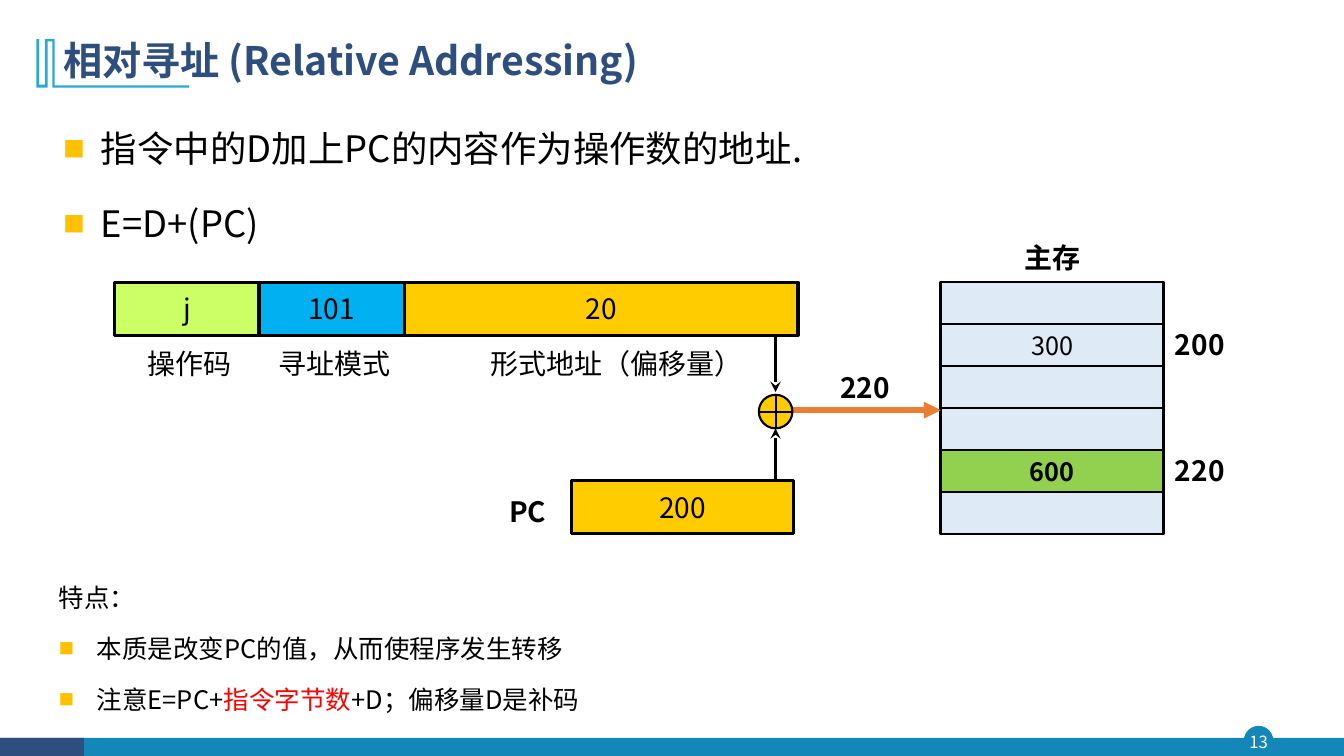
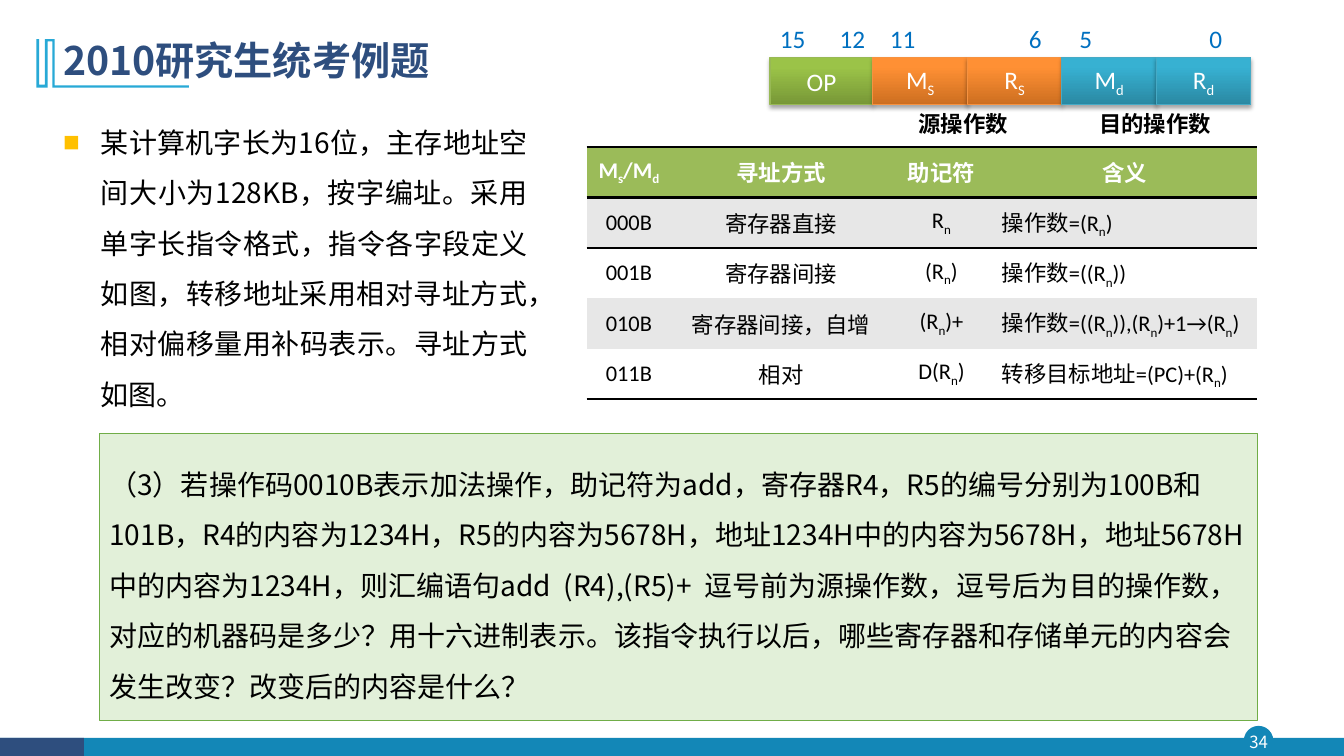
from typing import NamedTuple

from lxml.etree import SubElement
from pptx import Presentation
from pptx.dml.color import RGBColor
from pptx.enum.shapes import MSO_CONNECTOR as Connector, MSO_SHAPE as Preset
from pptx.enum.text import MSO_ANCHOR as Anchor, PP_ALIGN as Align
from pptx.oxml.ns import qn
from pptx.util import Pt

BLACK = RGBColor(0x00, 0x00, 0x00)
WHITE = RGBColor(0xFF, 0xFF, 0xFF)
RED = RGBColor(0xFF, 0x00, 0x00)
NAVY = RGBColor(0x2E, 0x4E, 0x7E)
TEAL = RGBColor(0x13, 0x87, 0xB7)
CYAN = RGBColor(0x28, 0xA9, 0xD6)
GOLD = RGBColor(0xFF, 0xC0, 0x00)
YELLOW = RGBColor(0xFF, 0xCC, 0x00)
LIME = RGBColor(0xCC, 0xFF, 0x66)
SKY = RGBColor(0x00, 0xB0, 0xF0)
ICE = RGBColor(0xDE, 0xEB, 0xF7)
GREEN = RGBColor(0x92, 0xD0, 0x50)
ORANGE = RGBColor(0xED, 0x7D, 0x31)
MINT = RGBColor(0xE2, 0xF0, 0xD9)
LEAF = RGBColor(0x70, 0xAD, 0x47)
OLIVE = RGBColor(0x9B, 0xBB, 0x59)
GREY = RGBColor(0xE7, 0xE7, 0xE7)
BLUE = RGBColor(0x00, 0x70, 0xC0)
# Dark end, light end and outline of each kind of instruction field
OP_TONES = (RGBColor(0x77, 0x97, 0x37), RGBColor(0x9B, 0xC3, 0x48), RGBColor(0x98, 0xB9, 0x55))
SOURCE_TONES = (RGBColor(0xCC, 0x6E, 0x20), RGBColor(0xFF, 0x90, 0x34), RGBColor(0xF6, 0x92, 0x40))
TARGET_TONES = (RGBColor(0x2A, 0x88, 0xA2), RGBColor(0x37, 0xB1, 0xD2), RGBColor(0x46, 0xAA, 0xC5))

SANS = "Noto Sans CJK SC"
TITLE_FONT = "Noto Sans CJK JP"
LATIN = "Calibri"
NO_TABLE_STYLE = "{2D5ABB26-0587-4C30-8999-92F81FD0307C}"

PLAIN = {"size": 20, "name": SANS, "color": BLACK}
STRONG = {**PLAIN, "bold": True}
TITLE = {"size": 28, "name": SANS, "color": NAVY, "bold": True}
FIELD = {"size": 18, "name": LATIN, "color": WHITE}
CELL = {"size": 16, "name": LATIN, "color": BLACK}


class Box(NamedTuple):
    """A rectangle in points."""
    left: float
    top: float
    width: float
    height: float

    def inner(self, dx, dy, width, height):
        return Box(self.left + dx, self.top + dy, width, height)

    def lengths(self):
        return [Pt(value) for value in self]


def add_span(para, text, style, subscript=False):
    span = para.add_run()
    span.text = text
    values = {**style, "size": Pt(style["size"])}
    span.font.color.rgb = values.pop("color")
    for name, value in values.items():
        setattr(span.font, name, value)
    props = span._r.get_or_add_rPr()
    SubElement(props, qn("a:ea")).set("typeface", SANS if style["name"] == LATIN else style["name"])
    if subscript:
        props.set("baseline", "-25000")


def add_marked(para, text, style):
    """Write text in which an underscore lowers the next character."""
    first, *pieces = text.split("_")
    if first:
        add_span(para, first, style)
    for piece in pieces:
        add_span(para, piece[0], style, subscript=True)
        if piece[1:]:
            add_span(para, piece[1:], style)


def add_bullet(para):
    props = para._p.get_or_add_pPr()
    props.set("marL", str(Pt(27)))
    props.set("indent", str(-Pt(27)))
    SubElement(SubElement(props, qn("a:buClr")), qn("a:srgbClr")).set("val", str(GOLD))
    SubElement(props, qn("a:buSzPct")).set("val", "60000")
    SubElement(props, qn("a:buFont")).set("typeface", SANS)
    SubElement(props, qn("a:buChar")).set("char", "■")


def write(frame, paras, style, anchor=Anchor.TOP, wrap=True, inset=None, bullets=(),
          tab=None, **layout):
    """Fill a frame; a paragraph is a string or a list of (text, style changes)."""
    frame.word_wrap = wrap
    frame.vertical_anchor = anchor
    if inset is not None:
        for side in ("left", "right", "top", "bottom"):
            setattr(frame, f"margin_{side}", Pt(inset))
    for index, content in enumerate(paras):
        para = frame.add_paragraph() if index else frame.paragraphs[0]
        if index in bullets:
            add_bullet(para)
        if tab:
            stops = SubElement(para._p.get_or_add_pPr(), qn("a:tabLst"))
            stop = SubElement(stops, qn("a:tab"))
            stop.set("pos", str(Pt(tab)))
            stop.set("algn", "r")
        for name, value in layout.items():
            if index or name != "space_before":
                setattr(para, name, value)
        for text, changes in [(content, {})] if isinstance(content, str) else content:
            add_marked(para, text, {**style, **changes})


def add_text(page, box, paras, style, **options):
    write(page.shapes.add_textbox(*box.lengths()).text_frame, paras, style, **options)


def add_label(page, box, text, style=PLAIN):
    add_text(page, box, [text], style, wrap=False, alignment=Align.CENTER)


def outline(shape, color, weight):
    shape.shadow.inherit = False
    if color is None:
        shape.line.fill.background()
    else:
        shape.line.color.rgb = color
        shape.line.width = Pt(weight)


def add_block(page, box, fill, line=None, weight=1, text="", style=PLAIN, preset=Preset.RECTANGLE):
    block = page.shapes.add_shape(preset, *box.lengths())
    outline(block, line, weight)
    block.fill.solid()
    block.fill.fore_color.rgb = fill
    if text:
        write(block.text_frame, [text], style, Anchor.MIDDLE, wrap=False, alignment=Align.CENTER)
    return block


def add_arrow(page, start, end, color, weight, head):
    arrow = page.shapes.add_connector(Connector.STRAIGHT, *(Pt(v) for v in (*start, *end)))
    arrow.line.color.rgb = color
    arrow.line.width = Pt(weight)
    SubElement(arrow.line._get_or_add_ln(), qn("a:tailEnd")).set("type", head)
    SubElement(arrow._element.spPr, qn("a:effectLst"))


def add_footer(page, box, number):
    badge = box.inner(889, -8, 20, 20)
    add_block(page, badge, TEAL, TEAL, preset=Preset.OVAL)
    add_block(page, box, TEAL)
    add_block(page, box.inner(0, 0, 60, box.height), NAVY)
    add_text(page, badge.inner(-2, 0, 24, 22), [number], {"size": 12, "name": SANS, "color": WHITE},
             anchor=Anchor.MIDDLE, inset=0, alignment=Align.CENTER)


def add_heading(page, box, title):
    """Place the bracket ornament and the slide title."""
    corners = [(13, 0), (13, 33), (109, 33), (109, 34.5), (11.5, 34.5), (11.5, 1.5), (8, 1.5),
               (8, 34.5), (0, 34.5), (0, 0), (2, 0), (2, 32.5), (6, 32.5), (6, 0)]
    start, *others = [(Pt(box.left + x), Pt(box.top + 8 + y)) for x, y in corners]
    builder = page.shapes.build_freeform(*start)
    builder.add_line_segments(others, close=True)
    bracket = builder.convert_to_shape()
    outline(bracket, None, 0)
    bracket.fill.solid()
    bracket.fill.fore_color.rgb = CYAN
    add_text(page, box.inner(12, 0, box.width - 12, box.height), [title], TITLE,
             anchor=Anchor.MIDDLE, line_spacing=0.9)


def add_page(deck, number, title):
    page = deck.slides.add_slide(deck.slide_layouts[6])
    add_footer(page, Box(0, 527, 960, 13), number)
    add_heading(page, Box(26, 20, 840, 49), title)
    return page


def add_instruction(page, box):
    fields = [("j", LIME, 103, "操作码", 0), ("101", SKY, 104, "寻址模式", 0),
              ("20", YELLOW, box.width - 207, "形式地址（偏移量）", 9)]
    dx = 0
    for value, fill, width, caption, shift in fields:
        add_block(page, box.inner(dx, 0, width, box.height), fill, BLACK, 2.25, value)
        add_label(page, box.inner(dx + shift + 2, 42.5, width, 32), caption)
        dx += width


def add_memory(page, box):
    add_label(page, box.inner(0, -33, box.width, 32), "主存", STRONG)
    cells = [("", ICE, ""), ("300", ICE, "200"), ("", ICE, ""),
             ("", ICE, ""), ("600", GREEN, "220"), ("", ICE, "")]
    pitch = box.height / len(cells)
    for row, (value, fill, address) in enumerate(cells):
        style = {**PLAIN, "size": 18, "bold": fill == GREEN}
        add_block(page, box.inner(0, row * pitch, box.width, pitch), fill, BLACK, 2, value, style)
        if address:
            add_label(page, box.inner(box.width, row * pitch - 1, 52, 32), address, STRONG)


def add_address_sum(page, box):
    """Draw the PC register and the adder, with the arrows between them and memory."""
    register = box.inner(49, 104, 159, 38)
    add_block(page, register, YELLOW, BLACK, 2.25, "200")
    add_label(page, box.inner(-4, 111, 44, 32), "PC", STRONG)
    adder = box.inner(183, 43, 24, 24)
    middle = adder.left + adder.width / 2
    bottom = adder.top + adder.height
    exit_y = box.top + 54
    add_arrow(page, (adder.left + adder.width, exit_y), (box.left + box.width, exit_y),
              ORANGE, 4, "triangle")
    add_label(page, box.inner(233, 22, 52, 32), "220", STRONG)
    add_block(page, adder, YELLOW, BLACK, 1.5, preset=Preset.FLOWCHART_OR)
    add_arrow(page, (middle, register.top), (middle, bottom), BLACK, 2.5, "stealth")
    add_arrow(page, (middle, box.top), (middle, adder.top - 2), BLACK, 2.5, "stealth")


def add_field(page, box, text, tones):
    """Draw one shaded field of the instruction word."""
    dark, light, edge = tones
    field = page.shapes.add_shape(Preset.RECTANGLE, *box.lengths())
    outline(field, edge, 0.75)
    field.fill.gradient()
    field.fill.gradient_angle = 90
    for stop, color, position in zip(field.fill.gradient_stops, (dark, light), (0, 0.8)):
        stop.color.rgb = color
        stop.position = position
    effects = field._element.spPr.find(qn("a:effectLst"))
    shadow = SubElement(effects, qn("a:outerShdw"), blurRad=str(Pt(3.1)), dist=str(Pt(1.8)),
                        dir="5400000", rotWithShape="0")
    tint = SubElement(shadow, qn("a:srgbClr"), val=str(BLACK))
    SubElement(tint, qn("a:alpha"), val="35000")
    write(field.text_frame, [text], FIELD, Anchor.MIDDLE, alignment=Align.CENTER)


def add_word_format(page, box):
    fields = [("OP", OP_TONES), ("M_S", SOURCE_TONES), ("R_S", SOURCE_TONES),
              ("M_d", TARGET_TONES), ("R_d", TARGET_TONES)]
    first = 73.5
    width = (box.width - first) / 4
    for index, (text, tones) in enumerate(fields):
        dx = first + (index - 1) * width if index else 0
        add_field(page, box.inner(dx, 28, width if index else first, 34), text, tones)
    for dx, bits, tab in [(0, "15\t12", 61), (78.5, "11\t6", 108.5), (214, "5\t0", 102)]:
        add_text(page, box.inner(dx, 0, 130, 29), [bits], {**FIELD, "color": BLUE}, tab=tab)
    for dx, caption in [(99, "源操作数"), (228, "目的操作数")]:
        add_text(page, box.inner(dx, 62, 107, 27), [caption], {**STRONG, "size": 16})


def add_rule(cell, side):
    line = SubElement(cell._tc.get_or_add_tcPr(), qn(f"a:ln{side}"), w=str(Pt(2)))
    SubElement(SubElement(line, qn("a:solidFill")), qn("a:srgbClr")).set("val", str(BLACK))


def add_mode_table(page, box):
    rows = [("M_s/M_d", "寻址方式", "助记符", "含义"),
            ("000B", "寄存器直接", "R_n", "操作数=(R_n)"),
            ("001B", "寄存器间接", "(R_n)", "操作数=((R_n))"),
            ("010B", "寄存器间接，自增", "(R_n)+", "操作数=((R_n)),(R_n)+1→(R_n)"),
            ("011B", "相对", "D(R_n)", "转移目标地址=(PC)+(R_n)")]
    table = page.shapes.add_table(len(rows), len(rows[0]), *box.lengths()).table
    table._tbl.tblPr.find(qn("a:tableStyleId")).text = NO_TABLE_STYLE
    for column, width in zip(table.columns, (60.5, 157, 72, 189.5)):
        column.width = Pt(width)
    for row, texts in enumerate(rows):
        header = row == 0
        sides = "TB" if header else "T" if row == 1 else "B" if row == len(rows) - 1 else ""
        style = {**CELL, "color": WHITE, "bold": True} if header else CELL
        for column, text in enumerate(texts):
            cell = table.cell(row, column)
            for side in sides:
                add_rule(cell, side)
            cell.fill.solid()
            cell.fill.fore_color.rgb = OLIVE if header else GREY if row % 2 else WHITE
            cell.vertical_anchor = Anchor.MIDDLE
            centred = header or column < 3
            write(cell.text_frame, [text], style, Anchor.MIDDLE,
                  alignment=Align.CENTER if centred else Align.LEFT)


def add_question(page, box):
    panel = add_block(page, box, MINT, LEAF, 0.5)
    write(panel.text_frame, [
        "（3）若操作码0010B表示加法操作，助记符为add，寄存器R4，R5的编号分别为100B和101B，"
        "R4的内容为1234H，R5的内容为5678H，地址1234H中的内容为5678H，地址5678H中的内容为1234H，"
        "则汇编语句add  (R4),(R5)+  逗号前为源操作数，逗号后为目的操作数，对应的机器码是多少？"
        "用十六进制表示。该指令执行以后，哪些寄存器和存储单元的内容会发生改变？改变后的内容是什么？",
    ], PLAIN, Anchor.MIDDLE, alignment=Align.LEFT, line_spacing=1.5)


def build_addressing(deck):
    page = add_page(deck, "13", [("相对寻址 ", {"name": TITLE_FONT}), ("(Relative Addressing)", {})])
    add_text(page, Box(38, 74, 828, 125), ["指令中的D加上PC的内容作为操作数的地址.", "E=D+(PC)"],
             {**PLAIN, "size": 26}, bullets=(0, 1), alignment=Align.JUSTIFY,
             line_spacing=1.4, space_before=Pt(10))
    add_instruction(page, Box(82, 201.5, 488, 38))
    add_memory(page, Box(672, 201.5, 159, 180))
    add_address_sum(page, Box(359, 239, 313, 142))
    add_text(page, Box(35, 408, 818, 106), [
        "特点：",
        "本质是改变PC的值，从而使程序发生转移",
        [("注意E=PC+", {}), ("指令字节数", {"color": RED}), ("+D；偏移量D是补码", {})],
    ], {**PLAIN, "size": 18.2}, bullets=(1, 2), alignment=Align.JUSTIFY,
        line_spacing=1.2, space_before=Pt(10))


def build_exam(deck):
    page = add_page(deck, "34", "2010研究生统考例题")
    add_text(page, Box(38, 74, 346, 306), [
        "某计算机字长为16位，主存地址空间大小为128KB，按字编址。采用单字长指令格式，"
        "指令各字段定义如图，转移地址采用相对寻址方式，相对偏移量用补码表示。寻址方式如图。",
    ], PLAIN, bullets=(0,), alignment=Align.JUSTIFY, line_spacing=1.5)
    add_mode_table(page, Box(419, 105, 479, 180))
    add_question(page, Box(71, 309.5, 827, 205))
    add_word_format(page, Box(550, 13, 343.5, 89))


def main():
    deck = Presentation()
    deck.slide_width, deck.slide_height = Pt(960), Pt(540)
    build_addressing(deck)
    build_exam(deck)
    deck.save("out.pptx")


if __name__ == "__main__":
    main()
